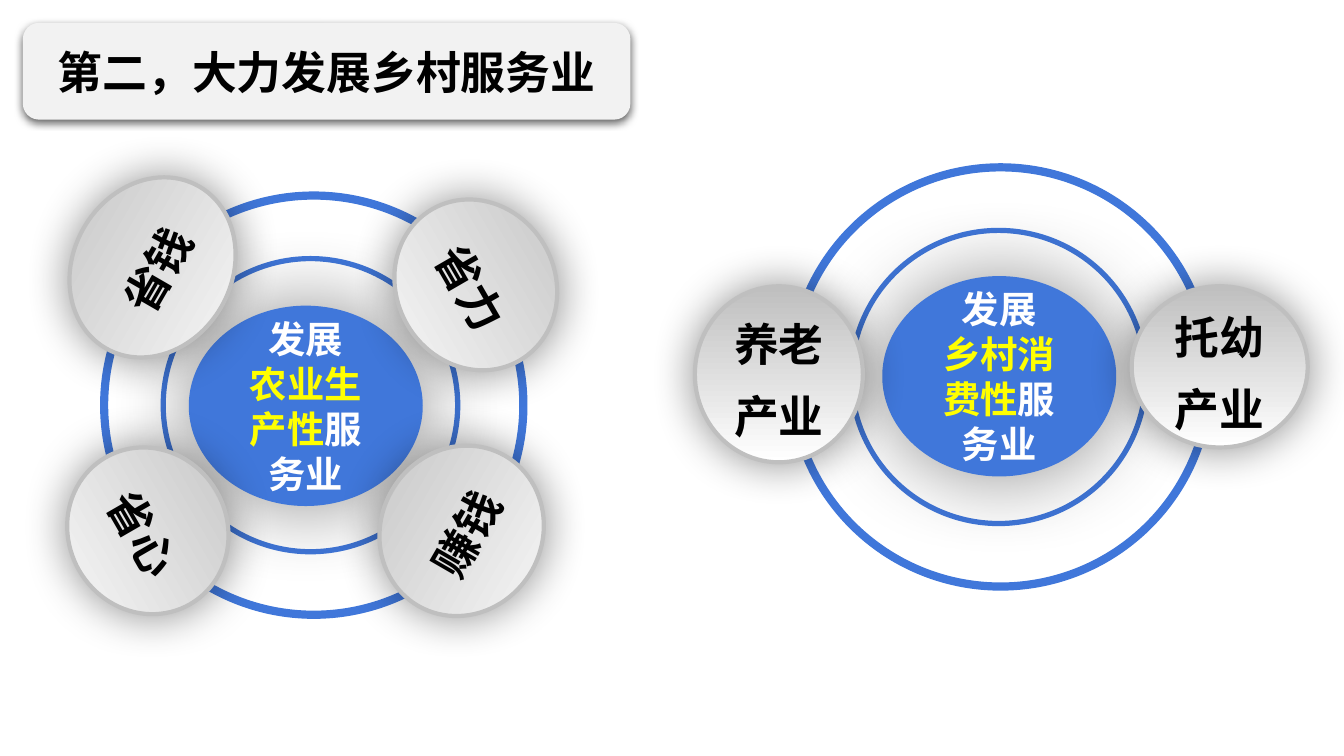
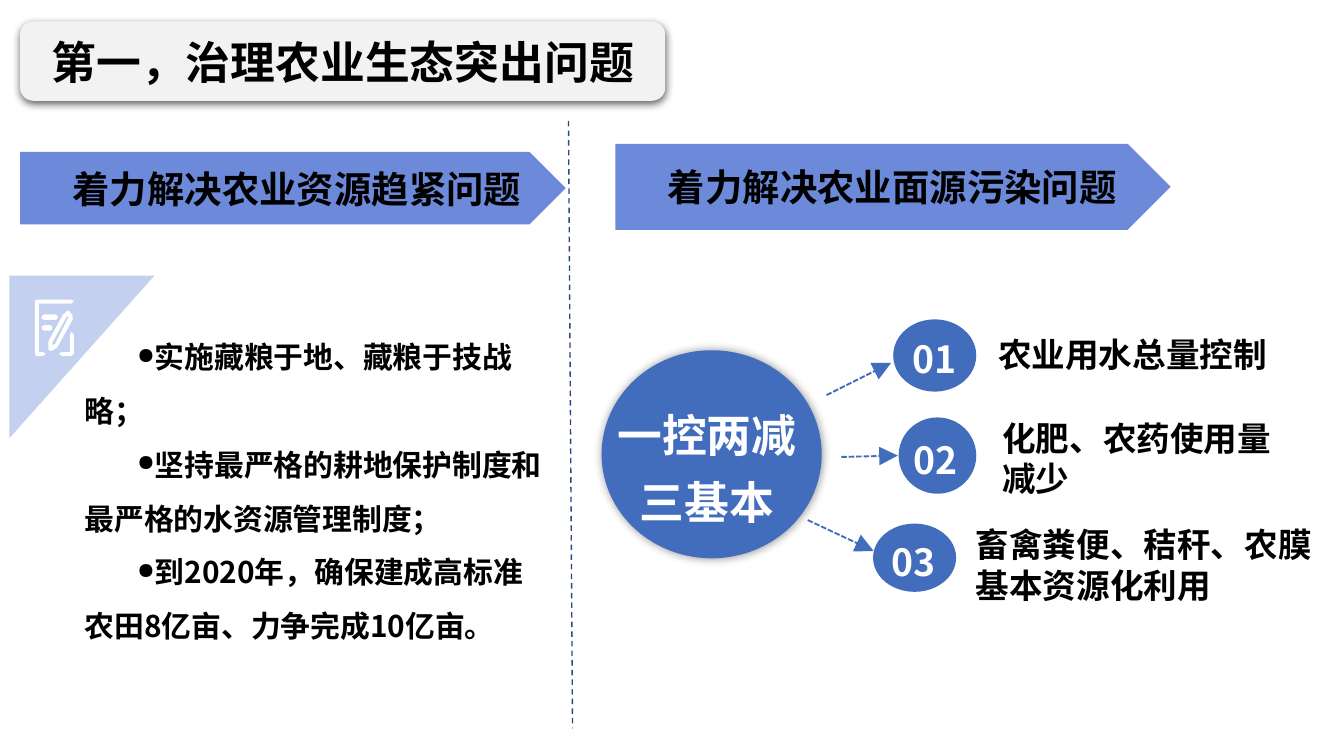
from dataclasses import dataclass
from typing import Optional

from lxml.etree import SubElement
from pptx import Presentation
from pptx.dml.color import RGBColor
from pptx.enum.dml import MSO_LINE
from pptx.enum.shapes import MSO_CONNECTOR, MSO_SHAPE
from pptx.enum.text import MSO_ANCHOR, PP_ALIGN
from pptx.oxml.ns import qn
from pptx.util import Inches, Pt

FONT = "Noto Sans CJK SC"
COLORS = {
    "black": "000000", "white": "FFFFFF", "yellow": "FFFF00",
    "title": "F2F2F2", "silver": "BFBFBF", "ring": "4077DA",
    "banner": "6C89DA", "corner": "C4D0F0", "badge": "426DBD",
    "divider": "2C497E",
}


@dataclass
class Shadow:
    opacity: int
    blur: float
    distance: float = 0
    angle: int = 0


@dataclass
class Box:
    left: float
    top: float
    width: float
    height: float

    def lengths(self) -> list:
        return [Inches(v) for v in (self.left, self.top, self.width, self.height)]


@dataclass
class Satellite:
    lines: list
    box: Box
    rotation: int = 0


@dataclass
class Hub:
    outer: Box
    inner: Box
    core: Box
    topic: str


@dataclass
class Measure:
    number: str
    lines: list
    label: Box
    circle: Box
    number_box: Box


TITLE_SHADOW = Shadow(63, 4.5, 1.5, 90)
HUB_SHADOW = Shadow(44, 46)
SATELLITE_SHADOW = Shadow(44, 24)
BADGE_SHADOW = Shadow(40, 5)


def rgb(name: str) -> RGBColor:
    return RGBColor.from_string(COLORS[name])


# Shared drawing functions
def write_text(shape, paragraphs: list, size: float = 24, color: str = "black",
               align=PP_ALIGN.CENTER, anchor=MSO_ANCHOR.MIDDLE,
               spacing: Optional[float] = None, gap: float = 0,
               margins: Optional[tuple] = None, bullet: str = "") -> None:
    """Each paragraph is a string or a list of (text, color) runs."""
    frame = shape.text_frame
    frame.word_wrap = True
    frame.vertical_anchor = anchor
    if margins:
        (frame.margin_left, frame.margin_top,
         frame.margin_right, frame.margin_bottom) = [Inches(m) for m in margins]
    for index, content in enumerate(paragraphs):
        paragraph = frame.add_paragraph() if index else frame.paragraphs[0]
        paragraph.alignment = align
        if spacing:
            paragraph.line_spacing = spacing
        if gap:
            paragraph.space_after = Pt(gap)
            if index:
                paragraph.space_before = Pt(gap)
        if bullet:
            properties = paragraph._p.get_or_add_pPr()
            properties.set("marL", str(Inches(0.24)))
            properties.set("indent", str(Inches(0.39)))
            properties.set("hangingPunct", "0")
            SubElement(properties, qn("a:buSzPct"), val="75000")
            SubElement(properties, qn("a:buChar"), char=bullet)
        runs = [(content, color)] if isinstance(content, str) else content
        for text, run_color in runs:
            run = paragraph.add_run()
            run.text = text
            run.font.name = FONT
            run.font.size = Pt(size)
            run.font.bold = True
            run.font.color.rgb = rgb(run_color)
            SubElement(run._r.get_or_add_rPr(), qn("a:ea"), typeface=FONT)


def paint(shape, fill: str, line: Optional[str] = None, line_width: float = 1,
          shadow: Optional[Shadow] = None) -> None:
    shape.fill.solid()
    shape.fill.fore_color.rgb = rgb(fill)
    if line:
        shape.line.color.rgb = rgb(line)
        shape.line.width = Pt(line_width)
    else:
        shape.line.fill.background()
    shape.shadow.inherit = False
    if shadow:
        effects = shape._element.spPr.find(qn("a:effectLst"))
        outer = SubElement(effects, qn("a:outerShdw"), blurRad=str(Pt(shadow.blur)),
                           dist=str(Pt(shadow.distance)), dir=str(shadow.angle * 60000),
                           algn="ctr", rotWithShape="0")
        tint = SubElement(outer, qn("a:srgbClr"), val=COLORS["black"])
        SubElement(tint, qn("a:alpha"), val=str(shadow.opacity * 1000))


def add_preset(slide, kind, box: Box, fill: str, **style):
    shape = slide.shapes.add_shape(kind, *box.lengths())
    paint(shape, fill, **style)
    return shape


def add_text(slide, box: Box, paragraphs: list, **text_format) -> None:
    shape = slide.shapes.add_textbox(*box.lengths())
    write_text(shape, paragraphs, anchor=MSO_ANCHOR.TOP, margins=(0, 0, 0, 0), **text_format)


def add_title(slide, box: Box, text: str) -> None:
    shape = add_preset(slide, MSO_SHAPE.ROUNDED_RECTANGLE, box, "title", shadow=TITLE_SHADOW)
    write_text(shape, [text])


def add_outline(slide, fill: str, *contours: list) -> None:
    first, *others = [[(Inches(x), Inches(y)) for x, y in points] for points in contours]
    builder = slide.shapes.build_freeform(*first[0])
    builder.add_line_segments(first[1:])
    for points in others:
        builder.move_to(*points[0])
        builder.add_line_segments(points[1:])
    paint(builder.convert_to_shape(), fill)


def add_dashed_line(slide, start: tuple, end: tuple, color: str, width: float,
                    dash, arrow: bool = False) -> None:
    connector = slide.shapes.add_connector(
        MSO_CONNECTOR.STRAIGHT, *[Inches(v) for v in (*start, *end)])
    connector.line.color.rgb = rgb(color)
    connector.line.width = Pt(width)
    connector.line.dash_style = dash
    if arrow:
        SubElement(connector.line._get_or_add_ln(), qn("a:tailEnd"),
                   type="triangle", w="lg", len="lg")
    SubElement(connector._element.spPr, qn("a:effectLst"))


# Parts of the service slide
def add_hub(slide, hub: Hub) -> None:
    for box, thickness in ((hub.outer, 0.016), (hub.inner, 0.013)):
        ring = add_preset(slide, MSO_SHAPE.DONUT, box, "ring", line="ring", line_width=0.75)
        ring.adjustments[0] = thickness
    core = add_preset(slide, MSO_SHAPE.OVAL, hub.core, "ring", line="ring",
                      line_width=2.25, shadow=HUB_SHADOW)
    write_text(core, ["发展", [(hub.topic, "yellow"), ("服务业", "white")]],
               size=20, color="white")


def add_satellite(slide, satellite: Satellite) -> None:
    shape = add_preset(slide, MSO_SHAPE.OVAL, satellite.box, "silver", line="silver",
                       line_width=2.25, shadow=SATELLITE_SHADOW)
    shape.fill.gradient()
    shape.fill.gradient_angle = 270
    for stop, color in zip(shape.fill.gradient_stops, ("silver", "white")):
        stop.color.rgb = rgb(color)
    shape.rotation = satellite.rotation
    write_text(shape, satellite.lines, spacing=1.2, gap=2)


HUBS = [
    Hub(Box(0.75, 1.43, 3.17, 3.17), Box(1.2, 1.91, 2.22, 2.21),
        Box(1.42, 2.29, 1.71, 1.46), "农业生产性"),
    Hub(Box(5.86, 1.22, 3.17, 3.17), Box(6.32, 1.7, 2.22, 2.21),
        Box(6.58, 2.07, 1.71, 1.46), "乡村消费性"),
]
SATELLITES = [
    Satellite(["省力"], Box(2.89, 1.53, 1.3, 1.18), 60),
    Satellite(["省心"], Box(0.47, 3.36, 1.26, 1.18), 60),
    Satellite(["省钱"], Box(0.44, 1.4, 1.39, 1.18), 300),
    Satellite(["赚钱"], Box(2.79, 3.35, 1.29, 1.2), 300),
    Satellite(["养老", "产业"], Box(5.17, 2.13, 1.25, 1.31)),
    Satellite(["托幼", "产业"], Box(8.42, 2.13, 1.31, 1.2)),
]


def build_service_slide(slide) -> None:
    for hub in HUBS:
        add_hub(slide, hub)
    add_title(slide, Box(0.17, 0.17, 4.52, 0.72), "第二，大力发展乡村服务业")
    for satellite in SATELLITES:
        add_satellite(slide, satellite)


# Parts of the ecology slide
BANNERS = [
    (Box(0.15, 1.13, 4.06, 0.54), "着力解决农业资源趋紧问题"),
    (Box(4.58, 1.07, 4.13, 0.64), "着力解决农业面源污染问题"),
]
ACTIONS = [
    "实施藏粮于地、藏粮于技战略；",
    "坚持最严格的耕地保护制度和最严格的水资源管理制度；",
    "到2020年，确保建成高标准农田8亿亩、力争完成10亿亩。",
]
ARROWS = [((6.15, 2.94), (6.63, 2.7)), ((6.01, 3.87), (6.5, 4.1)), ((6.26, 3.4), (6.68, 3.39))]
MEASURES = [
    Measure("01", ["农业用水总量控制"], Box(7.3, 2.34, 2.34, 0.59),
            Box(6.66, 2.39, 0.59, 0.51), Box(6.63, 2.5, 0.65, 0.25)),
    Measure("02", ["化肥、农药使用量减少"], Box(7.33, 3.11, 2.5, 0.6),
            Box(6.7, 3.12, 0.55, 0.54), Box(6.58, 3.25, 0.76, 0.25)),
    Measure("03", ["畜禽粪便、秸秆、农膜", "基本资源化利用"], Box(7.13, 3.87, 2.86, 0.66),
            Box(6.51, 3.91, 0.59, 0.48), Box(6.42, 4.01, 0.76, 0.24)),
]


def add_notepad(slide) -> None:
    # Sheet edge, lower corner, pencil with its hollow
    add_outline(slide, "white", [(0.32, 2.62), (0.29, 2.62), (0.29, 2.26), (0.53, 2.26),
                                 (0.55, 2.24), (0.53, 2.23), (0.27, 2.23), (0.26, 2.24),
                                 (0.26, 2.63), (0.27, 2.65), (0.32, 2.65), (0.34, 2.63)])
    add_outline(slide, "white", [(0.53, 2.47), (0.52, 2.49), (0.52, 2.62), (0.46, 2.62),
                                 (0.44, 2.63), (0.46, 2.65), (0.53, 2.65), (0.55, 2.63),
                                 (0.55, 2.49)])
    add_outline(slide, "white",
                [(0.52, 2.32), (0.5, 2.31), (0.47, 2.34), (0.36, 2.54), (0.36, 2.6),
                 (0.37, 2.61), (0.39, 2.61), (0.42, 2.59), (0.43, 2.58), (0.54, 2.38),
                 (0.54, 2.35)],
                [(0.51, 2.36), (0.41, 2.56), (0.39, 2.57), (0.39, 2.55), (0.5, 2.35)])
    # Written lines
    for box in (Box(0.31, 2.34, 0.12, 0.04), Box(0.31, 2.42, 0.08, 0.04)):
        bar = add_preset(slide, MSO_SHAPE.ROUNDED_RECTANGLE, box, "white")
        bar.adjustments[0] = 0.5


def add_measure(slide, measure: Measure) -> None:
    label = add_preset(slide, MSO_SHAPE.ROUNDED_RECTANGLE, measure.label, "white", line="white")
    write_text(label, measure.lines, size=18, align=PP_ALIGN.LEFT)
    add_preset(slide, MSO_SHAPE.OVAL, measure.circle, "badge", line="badge", line_width=2)
    add_text(slide, measure.number_box, [measure.number], size=20, color="white")


def build_ecology_slide(slide) -> None:
    add_title(slide, Box(0.15, 0.16, 4.8, 0.59), "第一，治理农业生态突出问题")
    for box, text in BANNERS:
        banner = add_preset(slide, MSO_SHAPE.PENTAGON, box, "banner")
        write_text(banner, [text], size=20, align=PP_ALIGN.LEFT, margins=(0.39, 0.05, 0.1, 0.05))
    # Left column
    add_outline(slide, "corner", [(0.07, 3.26), (0.07, 2.05), (1.15, 2.05)])
    add_notepad(slide)
    add_text(slide, Box(0.39, 2.39, 3.7, 1.21), ACTIONS, size=16, align=PP_ALIGN.LEFT,
             spacing=1.5, bullet="●")
    # Right column
    for start, end in ARROWS:
        add_dashed_line(slide, start, end, "badge", 1, MSO_LINE.SQUARE_DOT, arrow=True)
    add_preset(slide, MSO_SHAPE.OVAL, Box(4.49, 2.62, 1.61, 1.52), "badge", line="badge",
               line_width=2, shadow=BADGE_SHADOW)
    add_text(slide, Box(4.58, 2.93, 1.36, 1.01), ["一控两减三基本"], color="white", spacing=1.25)
    for measure in MEASURES:
        add_measure(slide, measure)
    add_dashed_line(slide, (4.23, 0.9), (4.26, 5.42), "divider", 0.75, MSO_LINE.DASH)


def main() -> None:
    presentation = Presentation()
    presentation.slide_width = Inches(10)
    presentation.slide_height = Inches(10 * 9 / 16)
    for build in (build_service_slide, build_ecology_slide):
        build(presentation.slides.add_slide(presentation.slide_layouts[6]))
    presentation.save("out.pptx")


if __name__ == "__main__":
    main()
